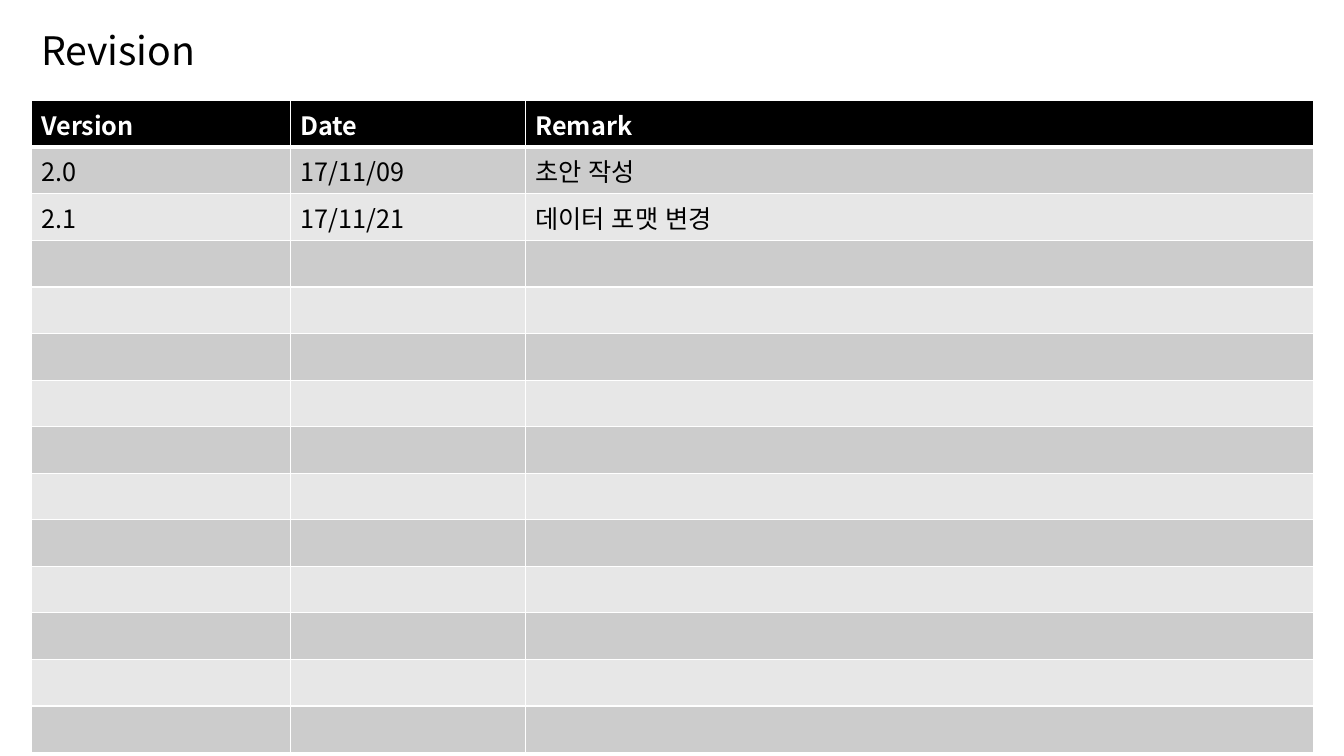
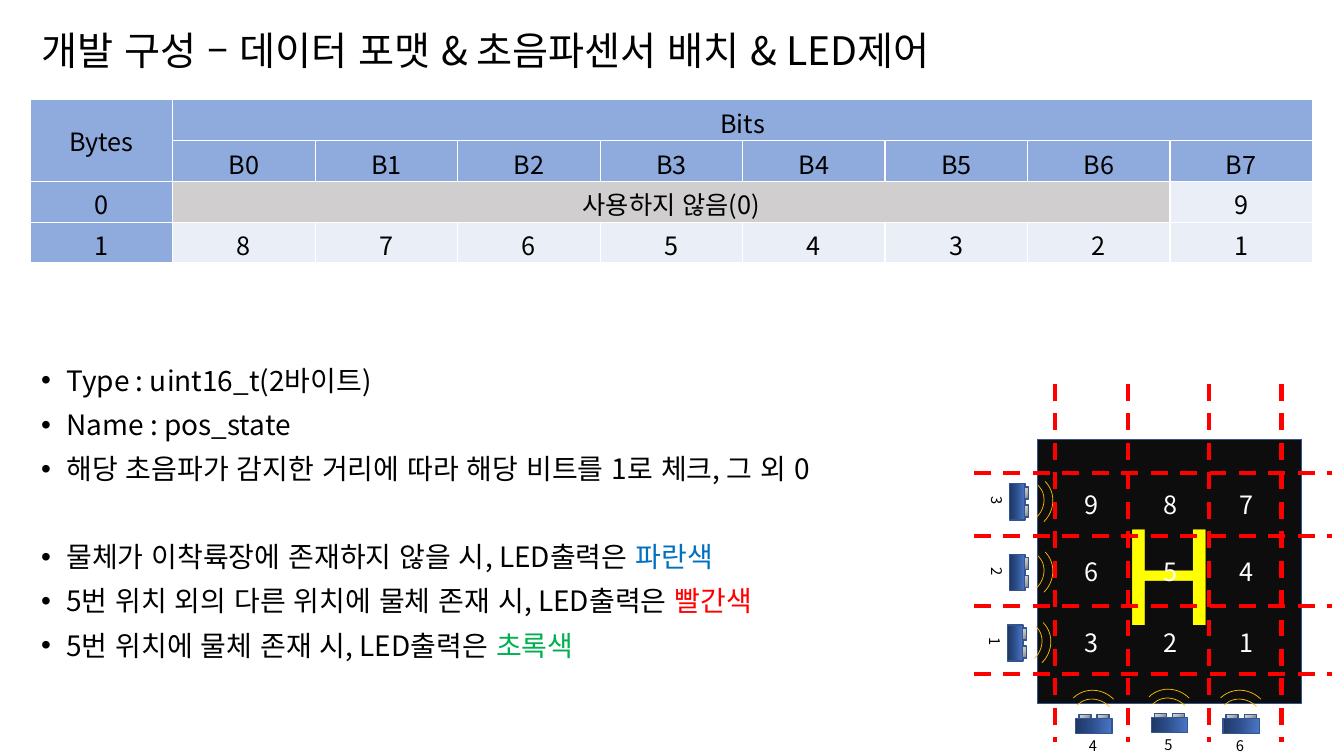
from dataclasses import dataclass
from itertools import product
from typing import Optional

from pptx import Presentation
from pptx.dml.color import RGBColor
from pptx.enum.dml import MSO_LINE
from pptx.enum.lang import MSO_LANGUAGE_ID as Lang
from pptx.enum.shapes import MSO_CONNECTOR as Link, MSO_SHAPE as Shape
from pptx.enum.text import MSO_ANCHOR as Anchor, PP_ALIGN as Align
from pptx.oxml import parse_xml
from pptx.oxml.ns import nsdecls, qn
from pptx.util import Inches, Pt

FONT = "Noto Sans CJK KR"
BLACK, WHITE, RED = "000000", "FFFFFF", "FF0000"
DARK, PALE = "CCCCCC", "E7E7E7"
HEAD, DATA, UNUSED = "8FAADC", "EAEFF7", "D0CECE"
EDGE, WAVE, PAD, YELLOW = "325491", "FFC000", "0D0D0D", "FFFF00"
BODY = [(0, "4A76C6"), (61, "2A4B86"), (100, "203864")]
TIP = [(0, "808080"), (50, "B7B7B7"), (100, "D9D9D9")]
LEFT, WIDTH = 0.31, 12.72


@dataclass
class Sensor:
    """An ultrasonic sensor, placed by the centre of its body."""
    name: str
    x: float
    y: float
    turn: int = 0


@dataclass
class Part:
    """A sensor part; dx and dy run from the body centre of an unturned sensor."""
    kind: Shape
    dx: float
    dy: float
    wide: float
    high: float
    turn: float = 0
    stops: Optional[list] = None
    angle: Optional[int] = None


@dataclass
class Item:
    """A bullet with an optional coloured ending."""
    text: str
    end: str = ""
    color: str = BLACK
    before: float = 10


PARTS = [
    Part(Shape.RECTANGLE, 0, 0, 0.15, 0.36, stops=BODY, angle=180),
    Part(Shape.RECTANGLE, 0.09, -0.09, 0.04, 0.12, stops=TIP),
    Part(Shape.RECTANGLE, 0.09, 0.09, 0.04, 0.12, stops=TIP),
    Part(Shape.ARC, 0.04, 0, 0.43, 0.47, 45.2),
    Part(Shape.ARC, 0.07, 0, 0.55, 0.58, 45.2),
]
SENSORS = [
    Sensor("1", 10.07, 6.38), Sensor("2", 10.09, 5.68), Sensor("3", 10.09, 4.98),
    Sensor("4", 10.85, 7.2, 270), Sensor("5", 11.6, 7.19, 270),
    Sensor("6", 12.31, 7.2, 270),
]
ITEMS = [
    Item("Type : uint16_t(2바이트)", before=0),
    Item("Name : pos_state"),
    Item("해당 초음파가 감지한 거리에 따라 해당 비트를 1로 체크, 그 외 0"),
    Item("물체가 이착륙장에 존재하지 않을 시, LED출력은 ", "파란색", "0070C0", 41.3),
    Item("5번 위치 외의 다른 위치에 물체 존재 시, LED출력은 ", "빨간색", RED),
    Item("5번 위치에 물체 존재 시, LED출력은 ", "초록색", "00B050"),
]


def rgb(code: str) -> RGBColor:
    return RGBColor.from_string(code)


def write(para, text: str, size: float = 18, color: str = BLACK, bold: bool = False,
          font: str = FONT, align=None, line: Optional[float] = None) -> None:
    """Add one formatted run to a paragraph."""
    if align is not None:
        para.alignment = align
    if line:
        para.line_spacing = line
    run = para.add_run()
    run.text = text
    face = run.font
    face.size, face.bold, face.name = Pt(size), bold, font
    face.language_id = Lang.KOREAN
    face.color.rgb = rgb(color)
    props = run._r.get_or_add_rPr()
    props.find(qn("a:latin")).addnext(
        parse_xml(f'<a:ea {nsdecls("a")} typeface="{font}"/>'))


def frame(slide, x: float, y: float, w: float, h: float, wrap: bool = True):
    box = slide.shapes.add_textbox(Inches(x), Inches(y), Inches(w), Inches(h))
    box.text_frame.word_wrap = wrap
    return box


def title(slide, text: str) -> None:
    area = frame(slide, LEFT, 0.22, WIDTH, 0.6).text_frame
    area.vertical_anchor = Anchor.MIDDLE
    write(area.paragraphs[0], text, size=28, line=0.9)


def label(slide, text: str, x: float, y: float, side: tuple, turn: float = 0,
          **style) -> None:
    """Place a short unwrapped text by its centre."""
    w, h = side
    box = frame(slide, x - w / 2, y - h / 2, w, h, wrap=False)
    box.rotation = turn
    write(box.text_frame.paragraphs[0], text, **style)


def shade(shape, stops: list, angle: Optional[int]) -> None:
    """Fill with a linear gradient, or a radial one if there is no angle."""
    marks = "".join(f'<a:gs pos="{pos * 1000}"><a:srgbClr val="{code}"/></a:gs>'
                    for pos, code in stops)
    way = (f'<a:lin ang="{angle * 60000}" scaled="0"/>' if angle is not None else
           '<a:path path="circle"><a:fillToRect l="100000" t="100000"/></a:path>')
    shape.fill.solid()
    props = shape._element.spPr
    props.replace(props.find(qn("a:solidFill")), parse_xml(
        f'<a:gradFill {nsdecls("a")} rotWithShape="0">'
        f'<a:gsLst>{marks}</a:gsLst>{way}</a:gradFill>'))


def draw(slide, kind, x: float, y: float, w: float, h: float, edge: str = EDGE,
         weight: float = 1):
    shape = slide.shapes.add_shape(kind, Inches(x), Inches(y), Inches(w), Inches(h))
    shape.shadow.inherit = False
    shape.line.color.rgb = rgb(edge)
    shape.line.width = Pt(weight)
    return shape


def sense(slide, unit: Sensor) -> None:
    """Draw a sensor with its waves and number."""
    def spot(dx: float, dy: float) -> tuple:
        if unit.turn:
            dx, dy = dy, -dx
        return unit.x + dx, unit.y + dy

    for part in PARTS:
        x, y = spot(part.dx, part.dy)
        arc = part.kind == Shape.ARC
        shape = draw(slide, part.kind, x - part.wide / 2, y - part.high / 2,
                     part.wide, part.high, WAVE if arc else EDGE, 0.5 if arc else 1)
        shape.rotation = (unit.turn + part.turn) % 360
        if part.stops:
            shade(shape, part.stops, part.angle)
        else:
            shape.fill.background()
    label(slide, unit.name, *spot(-0.2, -0.01), (0.28, 0.28),
          (unit.turn + 90) % 360, size=10.5)


def dash(slide, x: float, y: float, w: float = 0, h: float = 0) -> None:
    line = slide.shapes.add_connector(Link.STRAIGHT, Inches(x), Inches(y),
                                      Inches(x + w), Inches(y + h))
    line.line.color.rgb = rgb(RED)
    line.line.width = Pt(3)
    line.line.dash_style = MSO_LINE.DASH
    line._element.spPr.append(parse_xml(f'<a:effectLst {nsdecls("a")}/>'))


def grid(slide, x: float, y: float, cols: list, rows: int, high: float):
    """Add a plain table with even rows."""
    item = slide.shapes.add_table(rows, len(cols), Inches(x), Inches(y),
                                  Inches(sum(cols)), Inches(high))
    table = item.table
    table.first_row = table.horz_banding = False
    for col, wide in zip(table.columns, cols):
        col.width = Inches(wide)
    return table


def paint(cell, fill: str, base: float = 1) -> None:
    """Give a cell white borders and a fill."""
    props = cell._tc.get_or_add_tcPr()
    for side, weight in zip("LRTB", (1, 1, 1, base)):
        props.append(parse_xml(
            f'<a:ln{side} {nsdecls("a")} w="{weight * 12700}"><a:solidFill>'
            f'<a:srgbClr val="{WHITE}"/></a:solidFill></a:ln{side}>'))
    cell.fill.solid()
    cell.fill.fore_color.rgb = rgb(fill)


def history(slide) -> None:
    title(slide, "Revision")
    data = [("Version", "Date", "Remark"), ("2.0", "17/11/09", "초안 작성"),
            ("2.1", "17/11/21", "데이터 포맷 변경")]
    cols, rows = [2.57, 2.33, 7.82], 14
    table = grid(slide, LEFT, 1, cols, rows, 6.47)
    for row, col in product(range(rows), range(len(cols))):
        cell, head = table.cell(row, col), row == 0
        fill = BLACK if head else DARK if row % 2 else PALE
        paint(cell, fill, base=3 if head else 1)
        if row < len(data):
            write(cell.text_frame.paragraphs[0], data[row][col], bold=head,
                  color=WHITE if head else BLACK)


def bits(slide) -> None:
    """Draw the table of bytes and bits."""
    data = [["Bytes", "Bits"] + [""] * 7,
            [""] + [f"B{n}" for n in range(8)],
            ["0", "사용하지 않음(0)"] + [""] * 6 + ["9"],
            ["1"] + [str(n) for n in range(8, 0, -1)]]
    table = grid(slide, 0.3, 0.99, [WIDTH / 9] * 9, len(data), 1.62)
    for row, col in product(range(4), range(9)):
        cell = table.cell(row, col)
        unused = row == 2 and 0 < col < 8
        paint(cell, HEAD if row < 2 or col == 0 else UNUSED if unused else DATA)
        cell.vertical_anchor = Anchor.MIDDLE
        cell.margin_top = Inches(0.04 if row or col else 0)
        cell.margin_bottom = Inches(0)
        if data[row][col]:
            write(cell.text_frame.paragraphs[0], data[row][col], align=Align.CENTER)
    for start, end in [((0, 0), (1, 0)), ((0, 1), (0, 8)), ((2, 1), (2, 7))]:
        table.cell(*start).merge(table.cell(*end))


def bullets(slide) -> None:
    area = frame(slide, LEFT, 3.59, 9.14, 3.56).text_frame
    for num, item in enumerate(ITEMS):
        para = area.add_paragraph() if num else area.paragraphs[0]
        props = para._p.get_or_add_pPr()
        props.set("marL", str(Inches(0.25)))
        props.set("indent", str(-Inches(0.25)))
        props.append(parse_xml(f'<a:buFont {nsdecls("a")} typeface="Arial"/>'))
        props.append(parse_xml(f'<a:buChar {nsdecls("a")} char="•"/>'))
        para.space_before = Pt(item.before)
        write(para, item.text, size=20, line=0.9)
        if item.end:
            write(para, item.end, size=20, color=item.color)


def layout(slide) -> None:
    title(slide, "개발 구성 – 데이터 포맷 & 초음파센서 배치 & LED제어")
    bullets(slide)
    pad = draw(slide, Shape.RECTANGLE, 10.29, 4.36, 2.62, 2.62)
    pad.fill.solid()
    pad.fill.fore_color.rgb = rgb(PAD)
    pad.text_frame.vertical_anchor = Anchor.MIDDLE
    write(pad.text_frame.paragraphs[0], "H", size=96, color=YELLOW, font="Roboto",
          align=Align.CENTER)
    for unit in SENSORS:
        sense(slide, unit)
    bits(slide)
    for x in (10.46, 11.19, 11.99, 12.71):
        dash(slide, x, 3.81, h=3.55)
    for y in (4.69, 5.32, 6.01, 6.69):
        dash(slide, 9.66, y, w=3.55)
    spots = product((5.01, 5.67, 6.37), (10.83, 11.61, 12.37))
    for num, (y, x) in zip(range(9, 0, -1), spots):
        label(slide, str(num), x, y, (0.34, 0.4), color=WHITE)


def main() -> None:
    deck = Presentation()
    deck.slide_width, deck.slide_height = Inches(13.33), Inches(7.5)
    for build in (history, layout):
        build(deck.slides.add_slide(deck.slide_layouts[6]))
    deck.save("out.pptx")


if __name__ == "__main__":
    main()
